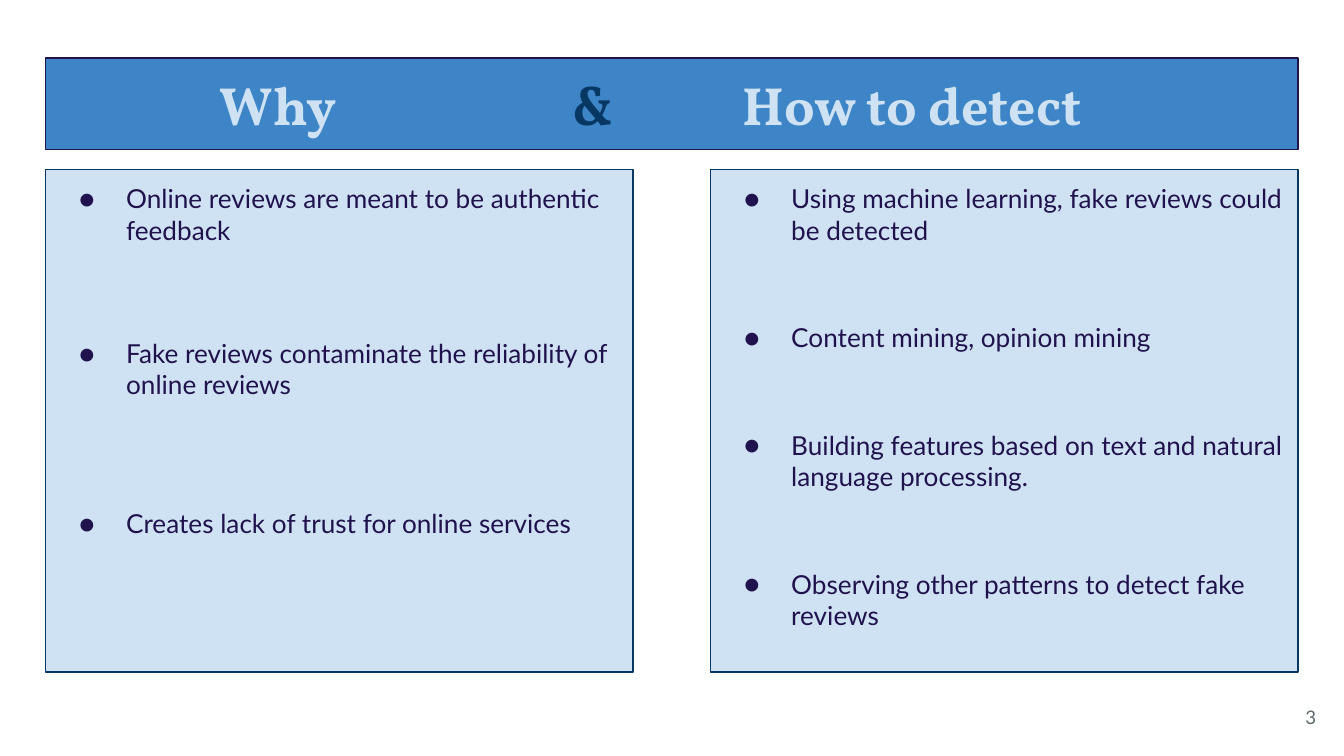
import pptx
import pptx.util
import pptx.dml.color
import pptx.enum.shapes
import pptx.enum.text
import pptx.oxml.ns
import lxml.etree

Pt = pptx.util.Pt
ALIGN = pptx.enum.text.PP_ALIGN
ANCHOR = pptx.enum.text.MSO_ANCHOR

NAVY, PALE, BLUE, INK, GREY = "073763", "CFE2F3", "3D85C6", "20124D", "5E696C"

TITLE = [
    ("Why", PALE, 86.2),
    ("&", NAVY, 275.3),
    ("How to detect", PALE, 366.4),
]
LEFT = [
    ("Online reviews are meant to be authentic feedback", 0),
    ("Fake reviews contaminate the reliability of online reviews", 49.2),
    ("Creates lack of trust for online services", 57.6),
]
RIGHT = [
    ("Using machine learning, fake reviews could be detected", 0),
    ("Content mining, opinion mining", 40.8),
    ("Building features based on text and natural language processing.", 40.8),
    ("Observing other patterns to detect fake reviews", 40.8),
]
PAGE = "3"

WIDE, HIGH = 720, 405
EDGE = 24.5
BODY_W, BODY_H, BODY_Y = 314.7, 269.3, 90.7


def color(code):
    return pptx.dml.color.RGBColor.from_string(code)


def style(font, name, size, code):
    font.name = name
    font.size = Pt(size)
    font.color.rgb = color(code)


def add(parent, tag, **attrs):
    node = lxml.etree.SubElement(parent, pptx.oxml.ns.qn(tag))
    for key, value in attrs.items():
        node.set(key, str(value))
    return node


def inset(frame, anchor):
    frame.word_wrap = True
    frame.vertical_anchor = anchor
    frame.margin_left = frame.margin_right = Pt(7.2)
    frame.margin_top = frame.margin_bottom = Pt(7.2)


def panel(slide, box, fill, line):
    kind = pptx.enum.shapes.MSO_SHAPE.RECTANGLE
    shape = slide.shapes.add_shape(kind, *map(Pt, box))
    shape.shadow.inherit = False
    shape.fill.solid()
    shape.fill.fore_color.rgb = color(fill)
    shape.line.color.rgb = color(line)
    shape.line.width = Pt(0.75)
    inset(shape.text_frame, ANCHOR.TOP)
    return shape.text_frame


def title(slide):
    frame = panel(slide, (EDGE, 31, WIDE - 2 * EDGE, 49), BLUE, INK)
    para = frame.paragraphs[0]
    para.alignment = ALIGN.LEFT
    tabs = add(para._p.get_or_add_pPr(), "a:tabLst")
    for text, code, stop in TITLE:
        add(tabs, "a:tab", pos=int(Pt(stop)), algn="l")
        run = para.add_run()
        run.text = "\t" + text
        style(run.font, "Vollkorn", 28.8, code)
        run.font.bold = True


def bullets(slide, x, items):
    frame = panel(slide, (x, BODY_Y, BODY_W, BODY_H), PALE, NAVY)
    for i, (text, gap) in enumerate(items):
        para = frame.add_paragraph() if i else frame.paragraphs[0]
        para.text = text
        para.alignment = ALIGN.LEFT
        para.space_before = Pt(gap)
        props = para._p.get_or_add_pPr()
        props.set("marL", str(int(Pt(36))))
        props.set("indent", str(int(Pt(-25.2))))
        add(add(props, "a:buClr"), "a:srgbClr", val=INK)
        add(props, "a:buFont", typeface="Lato")
        add(props, "a:buChar", char="●")
        style(para.font, "Lato", 14, INK)


def number(slide):
    box = slide.shapes.add_textbox(*map(Pt, (669, 368.6, 43.2, 31)))
    inset(box.text_frame, ANCHOR.MIDDLE)
    para = box.text_frame.paragraphs[0]
    para.text = PAGE
    para.alignment = ALIGN.RIGHT
    style(para.font, "Lato", 10, GREY)


def main():
    deck = pptx.Presentation()
    deck.slide_width, deck.slide_height = Pt(WIDE), Pt(HIGH)
    slide = deck.slides.add_slide(deck.slide_layouts[6])
    title(slide)
    bullets(slide, EDGE, LEFT)
    bullets(slide, WIDE - EDGE - BODY_W, RIGHT)
    number(slide)
    deck.save("out.pptx")


if __name__ == "__main__":
    main()
